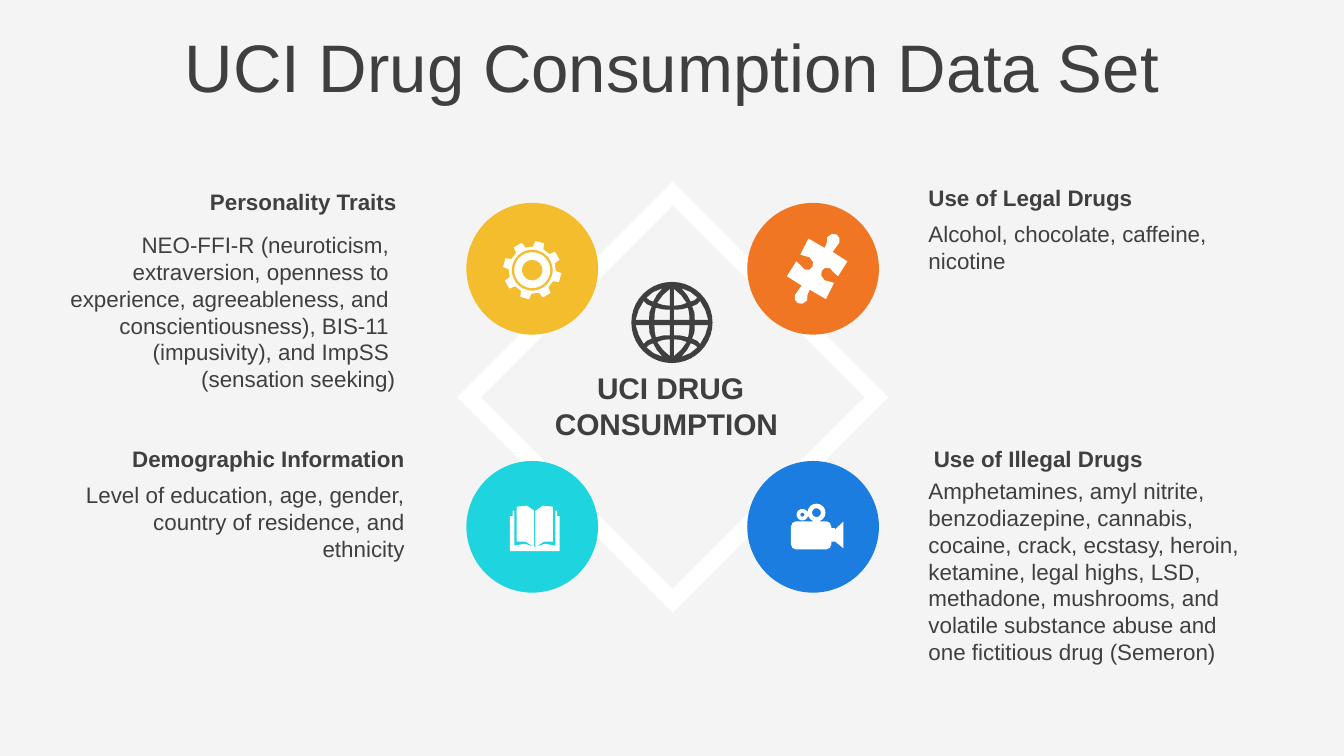
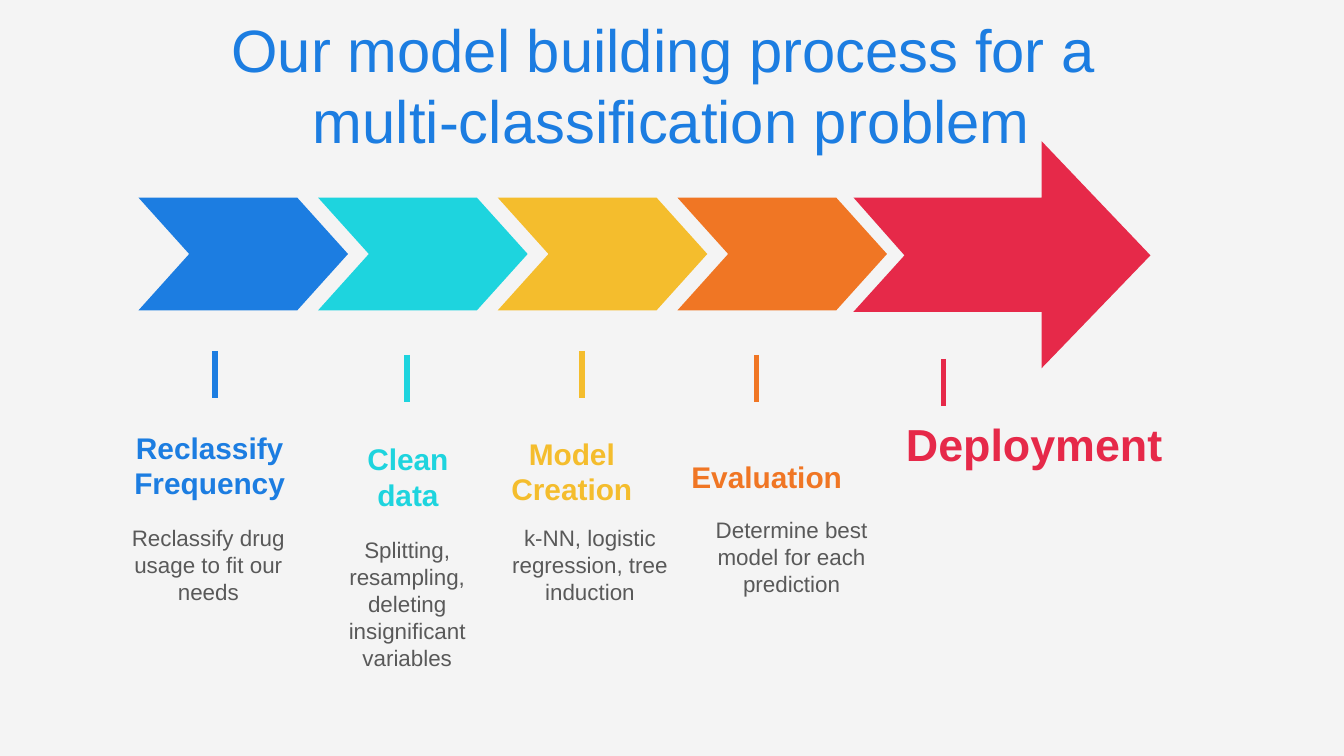
"""Builds two slides: the drug consumption data set and the model building process."""
from dataclasses import dataclass
from math import cos, pi, radians, sin

from lxml.etree import SubElement
from pptx import Presentation
from pptx.dml.color import RGBColor
from pptx.enum.shapes import MSO_CONNECTOR as Connector, MSO_SHAPE as Preset
from pptx.enum.text import MSO_ANCHOR as Anchor, PP_ALIGN as Align
from pptx.oxml.ns import qn
from pptx.shapes.autoshape import Shape
from pptx.slide import Slide
from pptx.util import Inches, Pt

Point = tuple[float, float]
Contour = list[Point]
Box = tuple[float, float, float, float]


@dataclass(frozen=True)
class Theme:
    font: str = "Arial"
    background: str = "F4F4F4"
    white: str = "FFFFFF"
    dark: str = "3F3F3F"
    grey: str = "595959"
    blue: str = "1C7DE1"
    cyan: str = "1ED4DE"
    yellow: str = "F4BD2D"
    orange: str = "F07624"
    red: str = "E62949"
    title: int = 36
    long_title: int = 32
    final_stage: int = 24
    heading: int = 16
    body: int = 12
    tick: int = 3


THEME = Theme()


@dataclass(frozen=True)
class Category:
    heading: str
    heading_at: Point
    detail: str
    detail_box: Box
    align: Align


@dataclass(frozen=True)
class Badge:
    at: Point
    color: str
    icon_center: Point
    icon: list[Contour]


@dataclass(frozen=True)
class Stage:
    label: str
    label_box: Box
    color: str
    tick_at: Point
    size: int = THEME.heading
    note: str = ""
    note_at: Point = (0, 0)


def circle(x: float, y: float, radius: float) -> Contour:
    """Return a ring with more points the larger it is."""
    count = 10 + int(radius)
    turns = [2 * pi * i / count for i in range(count)]
    return [(x + radius * cos(a), y + radius * sin(a)) for a in turns]


def bezier(p0: Point, p1: Point, p2: Point, p3: Point, steps: int = 2) -> Contour:
    """Sample a cubic curve, leaving out its first point."""
    curve = []
    for t in (i / steps for i in range(1, steps + 1)):
        weights = ((1 - t) ** 3, 3 * t * (1 - t) ** 2, 3 * t * t * (1 - t), t ** 3)
        x, y = (sum(w * p[axis] for w, p in zip(weights, (p0, p1, p2, p3))) for axis in (0, 1))
        curve.append((x, y))
    return curve


def trace(outline: str) -> list[Contour]:
    """Turn M, L, C and O (circle) commands into contours."""
    contours: list[Contour] = []
    for command in outline.split(";"):
        kind, *numbers = command.split()
        values = [float(n) for n in numbers]
        points = list(zip(values[::2], values[1::2]))
        if kind == "O":
            contours.append(circle(*values))
        elif kind == "M":
            contours.append(points)
        elif kind == "L":
            contours[-1].extend(points)
        else:
            for i in range(0, len(points), 3):
                contours[-1].extend(bezier(contours[-1][-1], *points[i:i + 3]))
    return contours


def mirror(contours: list[Contour], x_sign: int, y_sign: int) -> list[Contour]:
    """Reflect contours about the centre lines."""
    return [[(x * x_sign, y * y_sign) for x, y in contour] for contour in contours]


def globe() -> list[Contour]:
    """Return a disc cut by four mirrored quarters of map cells."""
    cells = trace(
        "M 1.5 2;L 13 2;C 13 5 13 8 12 11 8 9.5 5 9.5 1.5 9.5;"
        "M 17 2;C 17 6 17 9 15 12 18 13 20 14 21 16 24 12 26 7 27 2;"
        "M 1.5 12.5;L 1.5 25;C 5 22 9 19 11 14.5 8 13 5 12.5 1.5 12.5;"
        "M 14 15.5;C 13 19 10 22 7 25.5 12 24 16 22 19 18.5 18 17 16 16 14 15.5")
    quarters = [mirror(cells, x, y) for x in (1, -1) for y in (1, -1)]
    return [circle(0, 0, 30.2)] + sum(quarters, [])


def gear() -> list[Contour]:
    """Return eight teeth around three rings."""
    teeth = []
    for tooth in range(8):
        for offset, radius in ((-13, 17.5), (-9, 21.8), (9, 21.8), (13, 17.5)):
            angle = radians(15 + 45 * tooth + offset)
            teeth.append((radius * sin(angle), -radius * cos(angle)))
    return [teeth] + [circle(0, 0, radius) for radius in (15.3, 13.4, 7.7)]


def puzzle() -> list[Contour]:
    """Return one outline made of a half and its half turn."""
    half = trace(
        "M 14.5 -25.5;C 16.5 -24.5 17.5 -21.5 16.5 -19.5 15.5 -15.5 12.5 -16.5 11.5 -12.5;"
        "L 22.5 -5.5 15.5 5.5;C 11.5 3.5 12.5 1.5 9.5 -.5 6.5 -1.5 4.5 -.5 3.5 1.5 "
        "2.5 3.5 2.5 6.5 5.5 8.5 8.5 10.5 9.5 8.5 12.5 10.5;L 6.5 22.5 -5.5 15.5;"
        "C -8.5 19.5 -6.5 19.5 -7.5 23.5 -9.5 26.5 -12.5 26.5 -14.5 25.5")
    return [half[0] + mirror(half, -1, -1)[0]]


def book() -> list[Contour]:
    """Return a page and cover with their reflection."""
    left = trace(
        "M -13.5 -16;C -8 -18 -3 -17 -.5 -13;L -.5 14;C -4 10 -9 9 -13.5 10;"
        "M -18.5 -9;L -16.5 -9 -16.5 -13 -15.3 -13 -15.3 13;"
        "C -9.5 10 -5.5 12 0 14;L 0 17 -18.5 17")
    return left + mirror(left, -1, 1)


def camera() -> list[Contour]:
    """Return a film camera with two reels."""
    return trace(
        "O -11 -9 4.3;O -11 -9 1.5;O -.5 -10.5 6.7;O -.5 -10.5 3.3;"
        "M -16 -4;L 7 -4;C 9 -4 10.5 -2.5 10.5 0;L 10.5 1 13 1 13.5 2 19.5 -4 19.5 16 "
        "13.5 11 10.5 11 10.5 13;C 10.5 15 9 16.8 7 16.8;L -16 16.8;"
        "C -18 16.8 -19.5 15 -19.5 13;L -19.5 0;C -19.5 -2 -18 -4 -16 -4")


def paint(shape: Shape, color: str) -> None:
    """Give a shape a flat fill without line or shadow."""
    shape.fill.solid()
    shape.fill.fore_color.rgb = RGBColor.from_string(color)
    shape.line.fill.background()
    shape.shadow.inherit = False


def add_preset(slide: Slide, preset: Preset, box: Box, color: str) -> Shape:
    """Add a flat preset shape."""
    shape = slide.shapes.add_shape(preset, *(Inches(v) for v in box))
    paint(shape, color)
    return shape


def add_outline(slide: Slide, contours: list[Contour], color: str,
                center: Point = (0, 0), unit: float = 0.01) -> None:
    """Add closed contours as one freeform around a centre."""
    placed = [[(Inches(center[0] + x * unit), Inches(center[1] + y * unit)) for x, y in contour]
              for contour in contours]
    builder = slide.shapes.build_freeform(*placed[0][0])
    for index, (start, *rest) in enumerate(placed):
        if index:
            builder.move_to(*start)
        builder.add_line_segments(rest, close=True)
    paint(builder.convert_to_shape(), color)


def add_text(slide: Slide, text: str, box: Box, *, size: int = THEME.body,
             color: str = THEME.dark, bold: bool = False, align: Align = Align.LEFT,
             anchor: Anchor = Anchor.TOP, pad: float = 0.05) -> None:
    """Add wrapped text with one paragraph per line."""
    frame = slide.shapes.add_textbox(*(Inches(v) for v in box)).text_frame
    frame.word_wrap = True
    frame.vertical_anchor = anchor
    frame.margin_left = frame.margin_right = Inches(0.1)
    frame.margin_top = frame.margin_bottom = Inches(pad)
    for index, line in enumerate(text.split("\n")):
        paragraph = frame.add_paragraph() if index else frame.paragraphs[0]
        paragraph.alignment = align
        run = paragraph.add_run()
        run.text = line
        run.font.name, run.font.size, run.font.bold = THEME.font, Pt(size), bold
        run.font.color.rgb = RGBColor.from_string(color)


def add_tick(slide: Slide, at: Point, color: str) -> None:
    """Add a short vertical line."""
    x, y = at
    tick = slide.shapes.add_connector(
        Connector.STRAIGHT, Inches(x), Inches(y), Inches(x), Inches(y + 0.35))
    tick.line.width = Pt(THEME.tick)
    tick.line.color.rgb = RGBColor.from_string(color)
    SubElement(tick._element.spPr, qn("a:effectLst"))


def add_slide(deck: Presentation, title: str, top: float, size: int, color: str) -> Slide:
    """Add a blank slide with the shared background and title style."""
    slide = deck.slides.add_slide(deck.slide_layouts[6])
    slide.background.fill.solid()
    slide.background.fill.fore_color.rgb = RGBColor.from_string(THEME.background)
    add_text(slide, title, (0, top, 10, 0.97), size=size, color=color,
             align=Align.CENTER, anchor=Anchor.MIDDLE)
    return slide


BADGES = (
    Badge((3.47, 1.51), THEME.yellow, (3.96, 2.01), gear()),
    Badge((5.56, 1.51), THEME.orange, (6.08, 2.0), puzzle()),
    Badge((3.47, 3.43), THEME.cyan, (3.98, 3.93), book()),
    Badge((5.56, 3.43), THEME.blue, (6.08, 3.92), camera()),
)
CATEGORIES = (
    Category("Use of Legal Drugs", (6.81, 1.32), "Alcohol, chocolate, caffeine, nicotine",
             (6.81, 1.59, 2.6, 0.5), Align.LEFT),
    Category("Use of Illegal Drugs", (6.85, 3.26),
             "Amphetamines, amyl nitrite,\nbenzodiazepine, cannabis,\n"
             "cocaine, crack, ecstasy, heroin, ketamine, legal highs, LSD,\n"
             "methadone, mushrooms, and\nvolatile substance abuse and\n"
             "one fictitious drug (Semeron)", (6.81, 3.5, 2.6, 1.51), Align.LEFT),
    Category("Personality Traits", (0.45, 1.35),
             "NEO-FFI-R (neuroticism, \nextraversion, openness to \n"
             "experience, agreeableness, and \nconscientiousness), BIS-11 \n"
             "(impusivity), and ImpSS \n(sensation seeking)", (0.29, 1.67, 2.75, 1.31), Align.RIGHT),
    Category("Demographic Information", (0.51, 3.26),
             "Level of education, age, gender, country of residence, and ethnicity",
             (0.51, 3.53, 2.6, 0.71), Align.RIGHT),
)
STAGES = (
    Stage("Reclassify Frequency", (0.65, 3.19, 1.82, 0.54), THEME.blue, (1.6, 2.61),
          note="Reclassify drug usage to fit our needs", note_at=(0.74, 3.85)),
    Stage("Clean data", (2.48, 3.14, 1.11, 0.81), THEME.cyan, (3.03, 2.64),
          note="Splitting, resampling, deleting insignificant variables", note_at=(2.22, 3.94)),
    Stage("Model Creation", (3.7, 3.1, 1.11, 0.81), THEME.yellow, (4.33, 2.61),
          note="k-NN, logistic regression, tree induction", note_at=(3.58, 3.85)),
    Stage("Evaluation", (5, 3.41, 1.41, 0.27), THEME.orange, (5.63, 2.64),
          note="Determine best model for each prediction", note_at=(5.08, 3.79)),
    Stage("Deployment", (6.48, 3.1, 2.43, 0.4), THEME.red, (7.02, 2.67), size=THEME.final_stage),
)


def build_data_set(deck: Presentation) -> None:
    """Draw the four data categories around the diamond."""
    slide = add_slide(deck, "UCI Drug Consumption Data Set", 0, THEME.title, THEME.dark)
    diamond = add_preset(slide, Preset.FRAME, (3.87, 1.82, 2.27, 2.27), THEME.white)
    diamond.adjustments[0] = 0.055
    diamond.rotation = 315
    add_text(slide, "UCI DRUG CONSUMPTION ", (3.92, 2.7, 2.14, 0.91),
             size=THEME.heading, bold=True, align=Align.CENTER)
    add_outline(slide, globe(), THEME.dark, (5, 2.4))
    for badge in BADGES:
        add_preset(slide, Preset.OVAL, (*badge.at, 0.98, 0.98), badge.color)
        add_outline(slide, badge.icon, THEME.white, badge.icon_center)
    for category in CATEGORIES:
        add_text(slide, category.heading, (*category.heading_at, 2.6, 0.3),
                 bold=True, align=category.align)
        add_text(slide, category.detail, category.detail_box, align=category.align)


def build_process(deck: Presentation) -> None:
    """Draw the five stages from reclassifying to deployment."""
    slide = add_slide(deck, "Our model building process for a \nmulti-classification problem",
                      0.14, THEME.long_title, THEME.blue)
    for index, stage in enumerate(STAGES[:-1]):
        chevron = add_preset(slide, Preset.CHEVRON,
                             (1.03 + index * 4.01 / 3, 1.47, 1.56, 0.84), stage.color)
        chevron.adjustments[0] = 0.45
    final_arrow = trace("M 7.75 1.05;L 8.56 1.9 7.75 2.74 7.75 2.32 6.35 2.32 "
                        "6.73 1.9 6.35 1.47 7.75 1.47")
    add_outline(slide, final_arrow, STAGES[-1].color, unit=1)
    for stage in STAGES:
        add_text(slide, stage.label, stage.label_box, size=stage.size, color=stage.color,
                 bold=True, align=Align.CENTER, anchor=Anchor.MIDDLE, pad=0)
        add_tick(slide, stage.tick_at, stage.color)
        if stage.note:
            add_text(slide, stage.note, (*stage.note_at, 1.62, 1.11),
                     color=THEME.grey, align=Align.CENTER)


def main() -> None:
    """Build and save the deck."""
    deck = Presentation()
    deck.slide_width, deck.slide_height = Inches(10), Inches(10 * 9 / 16)
    build_data_set(deck)
    build_process(deck)
    deck.save("out.pptx")


if __name__ == "__main__":
    main()
